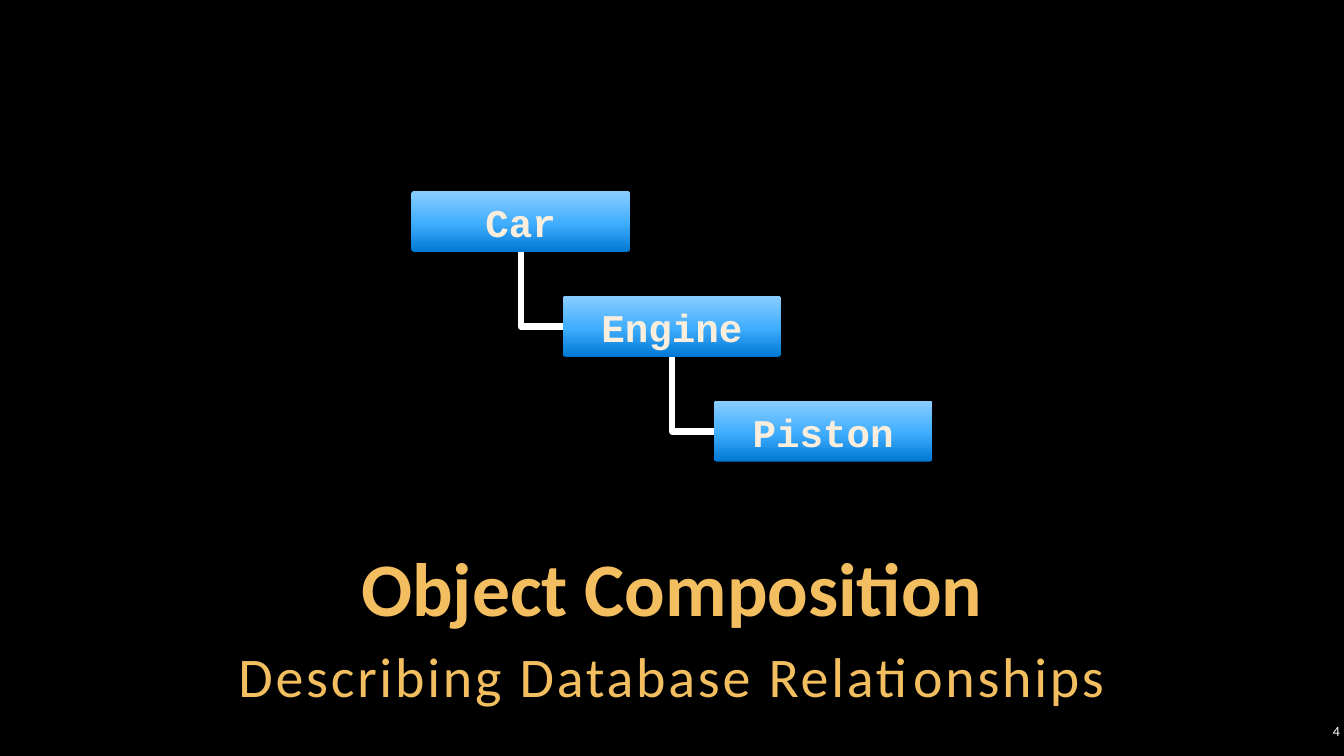
from dataclasses import dataclass
from lxml import etree
from pptx import Presentation
from pptx import util as u
from pptx.dml.color import RGBColor
from pptx.enum import shapes, text
from pptx.oxml.ns import qn


@dataclass(frozen=True)
class Theme:
    background: str = "000000"
    gold: str = "F3BE60"
    cream: str = "FBEEDC"
    white: str = "FFFFFF"
    gradient: tuple = ((0, "0078D2"), (48, "41AEFF"), (100, "89CDFF"))
    heading_font: str = "Calibri"
    code_font: str = "Courier New"
    title_size: int = 54
    subtitle_size: int = 40
    class_size: int = 28
    number_size: int = 10


theme = Theme()


def write(shape, words, font, size, color, align, anchor, bold=False, inset=0.04):
    frame = shape.text_frame
    frame.word_wrap = True
    frame.auto_size = text.MSO_AUTO_SIZE.NONE
    frame.vertical_anchor = anchor
    frame.margin_left = frame.margin_right = u.Inches(inset)
    frame.margin_top = frame.margin_bottom = u.Inches(0.04)
    paragraph = frame.paragraphs[0]
    paragraph.alignment = align
    paragraph.space_before = u.Pt(0)
    run = paragraph.add_run()
    run.text = words
    run.font.name = font
    run.font.size = u.Pt(size)
    run.font.bold = bold
    run.font.color.rgb = RGBColor.from_string(color)
    return paragraph


def place(shape, left, top, width, height):
    shape.left, shape.top = u.Inches(left), u.Inches(top)
    shape.width, shape.height = u.Inches(width), u.Inches(height)


center, right = text.PP_ALIGN.CENTER, text.PP_ALIGN.RIGHT
top_anchor, middle, bottom = text.MSO_ANCHOR.TOP, text.MSO_ANCHOR.MIDDLE, text.MSO_ANCHOR.BOTTOM

deck = Presentation()
deck.slide_width, deck.slide_height = u.Inches(13.33), u.Inches(7.5)
slide = deck.slides.add_slide(deck.slide_layouts[0])
slide.background.fill.solid()
slide.background.fill.fore_color.rgb = RGBColor.from_string(theme.background)

title = slide.shapes.title
place(title, 1, 5.42, 11.33, 0.9)
heading = write(title, "Object Composition", theme.heading_font, theme.title_size,
                theme.gold, center, bottom, bold=True)
heading.line_spacing = 0.9

subtitle = slide.placeholders[1]
place(subtitle, 1, 6.29, 11.33, 0.79)
tagline = write(subtitle, "Describing Database Relationships", theme.heading_font,
                theme.subtitle_size, theme.gold, center, top_anchor)
tagline.line_spacing = 1.05
tagline.space_after = u.Pt(6)
tagline.runs[0].font._element.set("spc", "200")

page_number = slide.shapes.add_textbox(u.Inches(12.86), u.Inches(7.14), u.Inches(0.47), u.Inches(0.22))
write(page_number, "4", theme.heading_font, theme.number_size, theme.white, right, middle)

box_width, box_height = 2.17, 0.6
first_left, first_top = 4.08, 1.9
step_x, step_y = 1.5, 1.04

class_boxes = []
for level, class_name in enumerate(("Car", "Engine", "Piston")):
    class_box = slide.shapes.add_shape(
        shapes.MSO_SHAPE.ROUNDED_RECTANGLE,
        u.Inches(first_left + level * step_x), u.Inches(first_top + level * step_y),
        u.Inches(box_width), u.Inches(box_height))
    class_box.adjustments[0] = 0.054
    class_box.shadow.inherit = False
    class_box.line.fill.background()
    class_box.fill.gradient()
    class_box.fill.gradient_angle = 90
    stops = class_box._element.spPr.find(".//" + qn("a:gsLst"))
    for stop in list(stops):
        stops.remove(stop)
    for percent, color in theme.gradient:
        stop = etree.SubElement(stops, qn("a:gs"), pos=str(percent * 1000))
        etree.SubElement(stop, qn("a:srgbClr"), val=color)
    write(class_box, class_name, theme.code_font, theme.class_size, theme.cream,
          center, middle, bold=True, inset=0.1)
    class_boxes.append(class_box)

drop = step_y - box_height / 2
reach = step_x - box_width / 2
for level, (owner, part) in enumerate(zip(class_boxes, class_boxes[1:])):
    start_x = first_left + box_width / 2 + level * step_x
    start_y = first_top + box_height + level * step_y
    link = slide.shapes.add_connector(
        shapes.MSO_CONNECTOR.ELBOW, u.Inches(start_x), u.Inches(start_y),
        u.Inches(start_x + reach), u.Inches(start_y + drop))
    link.begin_connect(owner, 2)
    link.end_connect(part, 1)
    place(link, start_x + (reach - drop) / 2, start_y + (drop - reach) / 2, drop, reach)
    link.line.color.rgb = RGBColor.from_string(theme.white)
    link.line.width = u.Pt(4.5)
    properties = link._element.spPr
    properties.find(qn("a:prstGeom")).set("prst", "bentConnector2")
    turn = properties.find(qn("a:xfrm"))
    turn.set("rot", "16200000")
    turn.set("flipH", "1")
    etree.SubElement(properties, qn("a:effectLst"))

deck.save("out.pptx")
